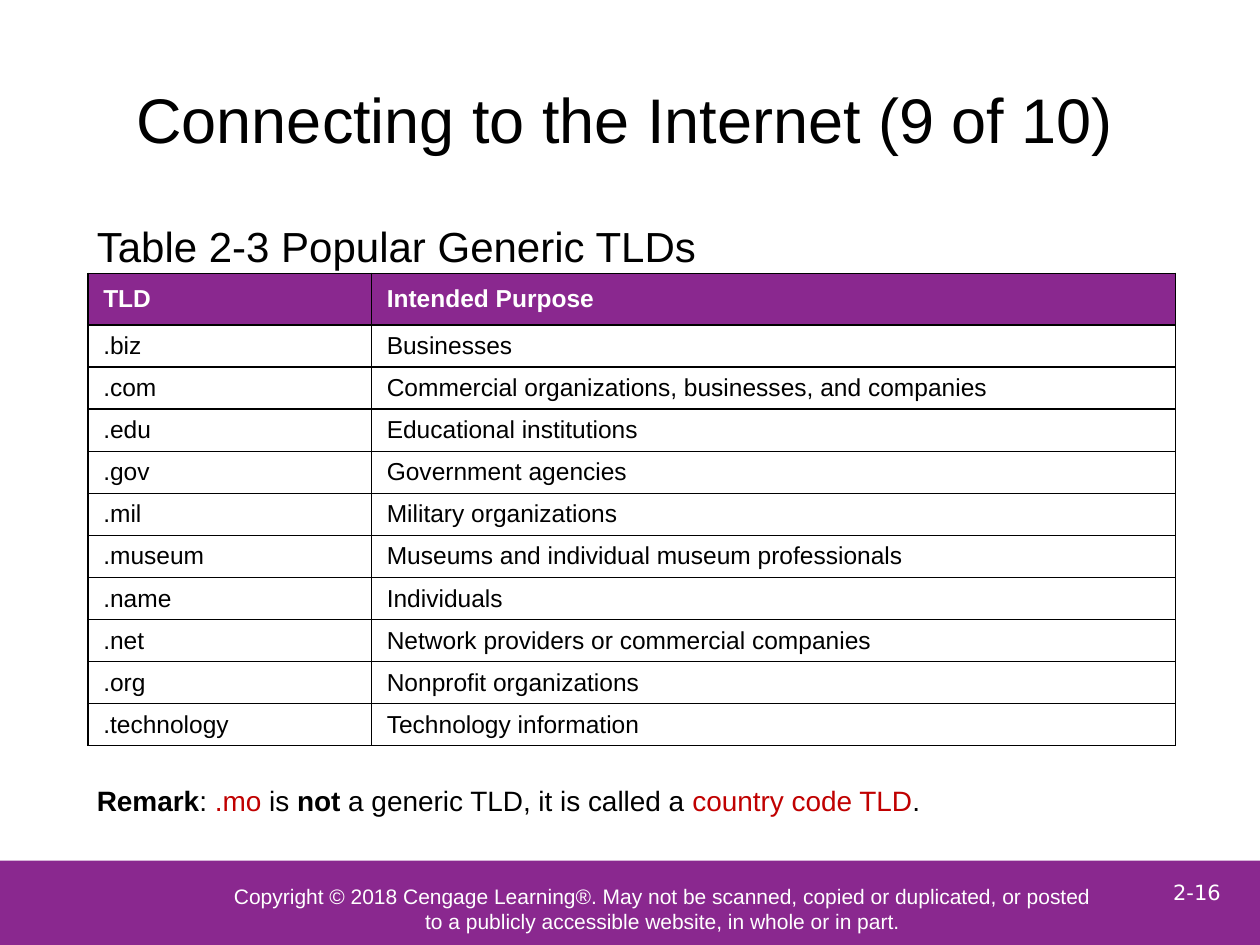
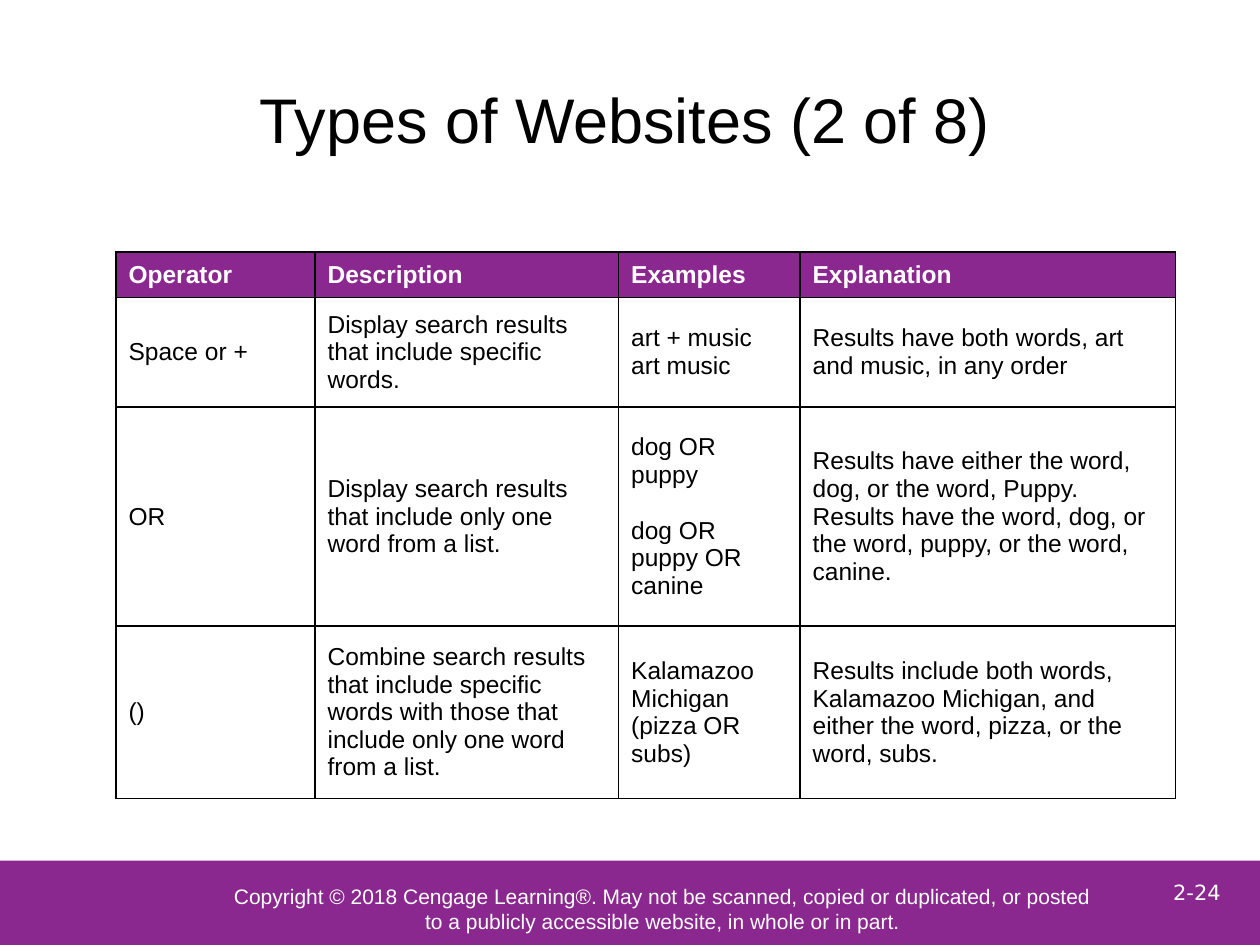
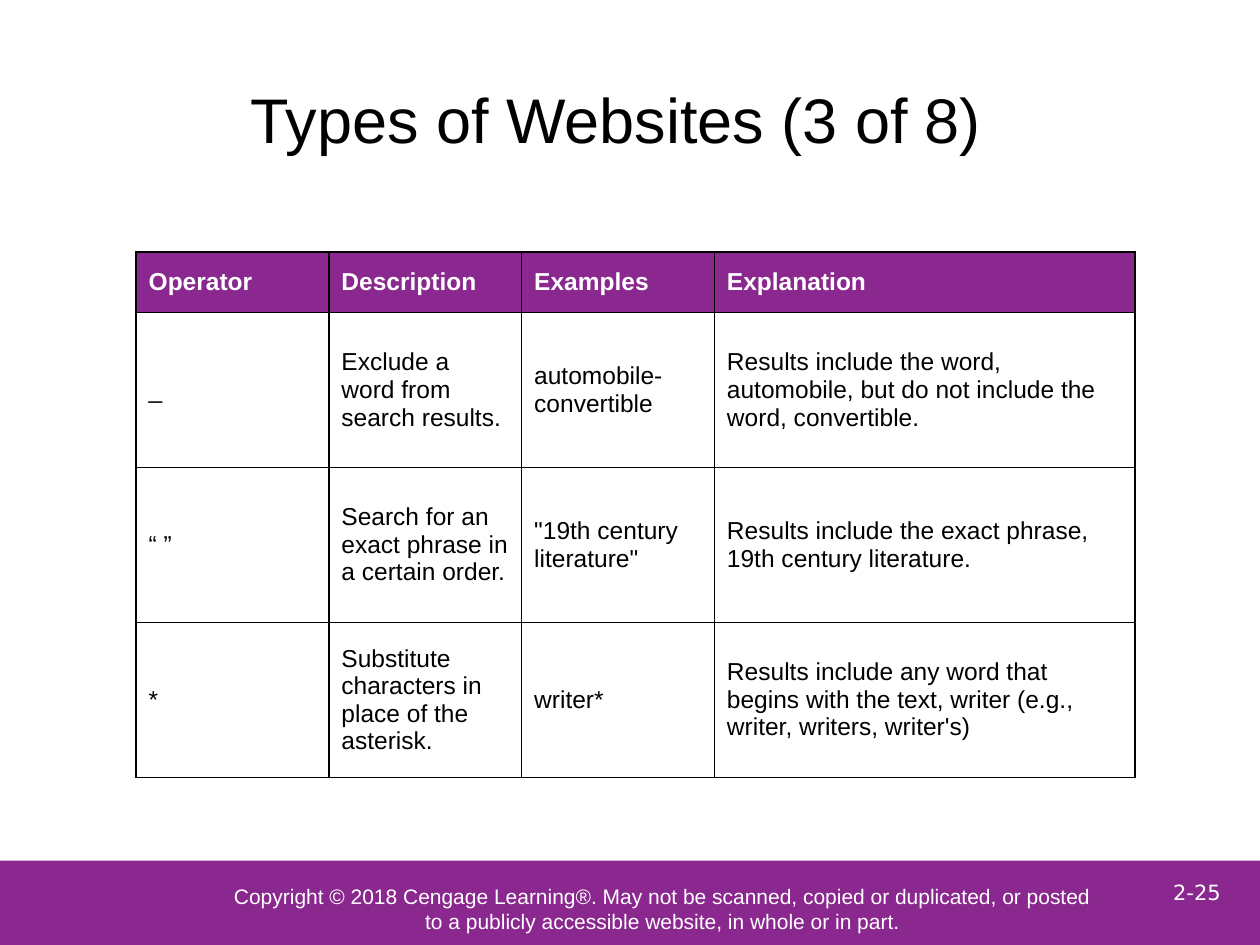
import pptx
import pptx.dml.color
import pptx.enum.shapes
import pptx.enum.text
import pptx.oxml
import pptx.oxml.ns
import pptx.util

Inches = pptx.util.Inches
Pt = pptx.util.Pt
PP_ALIGN = pptx.enum.text.PP_ALIGN
MIDDLE = pptx.enum.text.MSO_ANCHOR.MIDDLE
TOP = pptx.enum.text.MSO_ANCHOR.TOP

# Shared colours, text formats and boxes (left, top, width, height)
PURPLE = pptx.dml.color.RGBColor(0x8A, 0x28, 0x8F)
WHITE = pptx.dml.color.RGBColor(0xFF, 0xFF, 0xFF)
BLACK = pptx.dml.color.RGBColor(0x00, 0x00, 0x00)
RED = pptx.dml.color.RGBColor(0xC0, 0x00, 0x00)

TITLE = {"name": "Arial", "size": Pt(36), "color": BLACK}
CAPTION = TITLE | {"size": Pt(24)}
REMARK = TITLE | {"size": Pt(16)}
BODY = TITLE | {"size": Pt(14), "bold": False}
HEADER = BODY | {"color": WHITE, "bold": True}
FOOTER = {"name": "Arial", "size": Pt(12), "color": WHITE}
NUMBER = FOOTER | {"name": "DejaVu Sans"}

TITLE_BOX = (0.57, 0.39, 8.78, 1.1)
FOOTER_BOX = (-0.01, 6.83, 10.01, 0.68)
COPYRIGHT = ("Copyright © 2018 Cengage Learning®. May not be scanned, copied or duplicated, "
             "or posted to a publicly accessible website, in whole or in part.")


def add_run(p, text, fmt):
    r = p.add_run()
    r.text = text
    for key, value in fmt.items():
        if key == "color":
            r.font.color.rgb = value
        else:
            setattr(r.font, key, value)


def add_text(s, box, runs, align=PP_ALIGN.LEFT, anchor=TOP):
    tf = s.shapes.add_textbox(*map(Inches, box)).text_frame
    tf.word_wrap = True
    tf.vertical_anchor = anchor
    p = tf.paragraphs[0]
    p.alignment = align
    for text, fmt in runs:
        add_run(p, text, fmt)
    return tf


def add_footer(s, box, number):
    x, y, w, h = box
    # Band
    sp = s.shapes.add_shape(pptx.enum.shapes.MSO_SHAPE.RECTANGLE, *map(Inches, box))
    sp.shadow.inherit = False
    sp.fill.solid()
    sp.fill.fore_color.rgb = PURPLE
    sp.line.fill.background()
    # Copyright line and page number
    tf = add_text(s, (x + 1.84, y + 0.09, 6.86, h - 0.1), [(COPYRIGHT, FOOTER)],
                  PP_ALIGN.CENTER, MIDDLE)
    for side in ("left", "top", "right", "bottom"):
        setattr(tf, f"margin_{side}", 0)
    add_text(s, (x + w - 1, y, 1, 0.5), [(number, NUMBER)], PP_ALIGN.CENTER, MIDDLE)


def add_borders(cell):
    tcPr = cell._tc.get_or_add_tcPr()
    for side in "LRTB":
        tcPr.append(pptx.oxml.parse_xml(
            f'<a:ln{side} {pptx.oxml.ns.nsdecls("a")} w="{Pt(1)}">'
            f'<a:solidFill><a:srgbClr val="{BLACK}"/></a:solidFill></a:ln{side}>'))


def add_grid(s, corner, widths, heights, rows, margin=0.1):
    """Table with a purple header row; a line break in a cell starts a spaced paragraph."""
    box = (*corner, sum(widths), sum(heights))
    table = s.shapes.add_table(len(rows), len(widths), *map(Inches, box)).table
    table.first_row = table.horz_banding = False
    for column, width in zip(table.columns, widths):
        column.width = Inches(width)
    for i, (height, texts) in enumerate(zip(heights, rows)):
        table.rows[i].height = Inches(height)
        for j, text in enumerate(texts):
            cell = table.cell(i, j)
            cell.vertical_anchor = MIDDLE
            cell.margin_left = cell.margin_right = Inches(margin)
            add_borders(cell)
            if i == 0:
                cell.fill.solid()
                cell.fill.fore_color.rgb = PURPLE
            else:
                cell.fill.background()
            for k, line in enumerate(text.split("\n")):
                p = cell.text_frame.add_paragraph() if k else cell.text_frame.paragraphs[0]
                if k:
                    p.space_before = Pt(16)
                add_run(p, line, BODY if i else HEADER)


def add_slide(prs, title, number):
    s = prs.slides.add_slide(prs.slide_layouts[6])
    s.background.fill.solid()
    s.background.fill.fore_color.rgb = WHITE
    add_footer(s, FOOTER_BOX, number)
    add_text(s, TITLE_BOX, [(title, TITLE)], PP_ALIGN.CENTER, MIDDLE)
    return s


TLDS = [
    ("TLD", "Intended Purpose"),
    (".biz", "Businesses"),
    (".com", "Commercial organizations, businesses, and companies"),
    (".edu", "Educational institutions"),
    (".gov", "Government agencies"),
    (".mil", "Military organizations"),
    (".museum", "Museums and individual museum professionals"),
    (".name", "Individuals"),
    (".net", "Network providers or commercial companies"),
    (".org", "Nonprofit organizations"),
    (".technology", "Technology information"),
]
TLD_REMARK = [
    ("Remark", REMARK | {"bold": True}),
    (": ", REMARK),
    (".mo", REMARK | {"color": RED}),
    (" is ", REMARK),
    ("not", REMARK | {"bold": True}),
    (" a generic TLD, it is called a ", REMARK),
    ("country code TLD", REMARK | {"color": RED}),
    (".", REMARK),
]
OPERATOR_HEADER = ("Operator", "Description", "Examples", "Explanation")
COMBINING = [
    OPERATOR_HEADER,
    ("Space or +", "Display search results that include specific words.",
     "art + music art music", "Results have both words, art and music, in any order"),
    ("OR", "Display search results that include only one word from a list.",
     "dog OR puppy\ndog OR puppy OR canine",
     "Results have either the word, dog, or the word, Puppy. Results have the word, dog, "
     "or the word, puppy, or the word, canine."),
    ("()", "Combine search results that include specific words with those that include "
     "only one word from a list.", "Kalamazoo Michigan (pizza OR subs)",
     "Results include both words, Kalamazoo Michigan, and either the word, pizza, "
     "or the word, subs."),
]
REFINING = [
    OPERATOR_HEADER,
    ("_", "Exclude a word from search results.", "automobile-convertible",
     "Results include the word, automobile, but do not include the word, convertible."),
    ("“ ”", "Search for an exact phrase in a certain order.", '"19th century literature"',
     "Results include the exact phrase, 19th century literature."),
    ("*", "Substitute characters in place of the asterisk.", "writer*",
     "Results include any word that begins with the text, writer "
     "(e.g., writer, writers, writer's)"),
]


def main():
    prs = pptx.Presentation()
    prs.slide_width, prs.slide_height = Inches(10), Inches(7.5)

    # Generic top-level domains
    s = add_slide(prs, "Connecting to the Internet (9 of 10)", "2-16")
    add_text(s, (0.67, 1.7, 5.42, 0.42), [("Table 2-3 Popular Generic TLDs", CAPTION)])
    add_grid(s, (0.7, 2.17), [2.25, 6.38], [0.41] + [0.32] * 10, TLDS, margin=0.12)
    add_text(s, (0.67, 6.17, 8.69, 0.37), TLD_REMARK)

    # Search operators
    s = add_slide(prs, "Types of Websites (2 of 8)", "2-24")
    add_grid(s, (0.92, 2), [1.58, 2.41, 1.44, 2.98], [0.36, 0.87, 1.74, 1.37], COMBINING)
    s = add_slide(prs, "Types of Websites (3 of 8) ", "2-25")
    add_grid(s, (1.08, 2), [1.53] * 3 + [3.34], [0.48] + [1.23] * 3, REFINING)

    prs.save("out.pptx")


if __name__ == "__main__":
    main()
